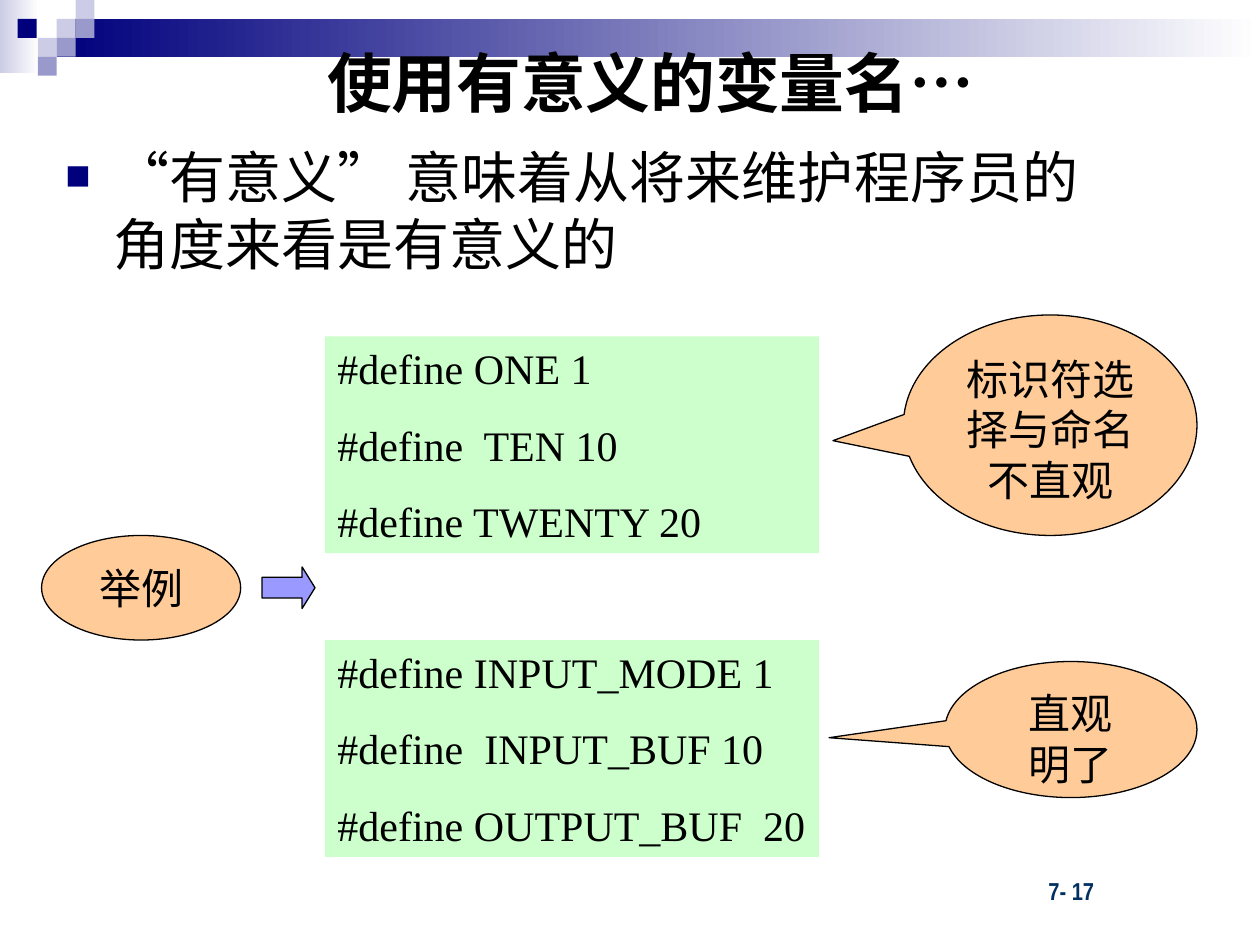
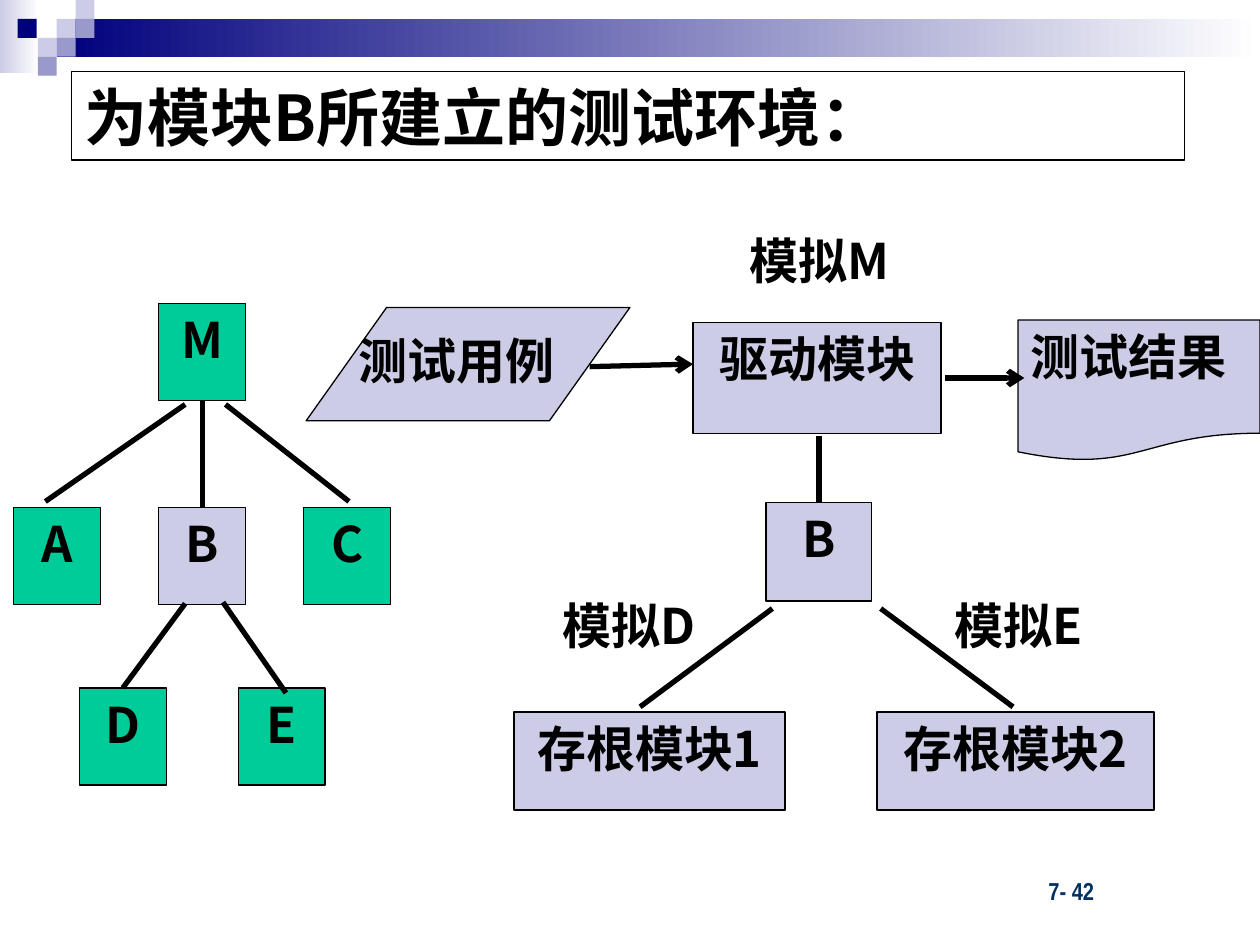
from dataclasses import dataclass
from lxml import etree
from pptx import Presentation
from pptx.dml.color import RGBColor as RGB
from pptx.enum.shapes import MSO_CONNECTOR as CONN, MSO_SHAPE as SHAPE
from pptx.enum.text import MSO_ANCHOR as ANCHOR, MSO_AUTO_SIZE as FIT, PP_ALIGN as ALIGN
from pptx.oxml.ns import qn
from pptx.util import Pt

PX = 9144  # 100 px to the inch


@dataclass(frozen=True)
class Theme:
    navy: str = "00007D"
    mid: str = "9999CC"
    pale: str = "CCCCE6"
    white: str = "FFFFFF"
    ink: str = "000000"
    number: str = "003162"
    code: str = "CCFFCC"
    bubble: str = "FFCC99"
    arrow: str = "9999FF"
    green: str = "00CC99"
    sans: str = "Noto Sans CJK SC"
    serif: str = "Times New Roman"
    narrow: str = "Arial Narrow"
    title: int = 37
    heading: int = 36
    body: int = 32
    label: int = 28
    note: int = 24
    foot: int = 14
    thin: float = 0.75
    thick: float = 3


T = Theme()


def write(sp, text, size=T.label, font=T.sans, color=T.ink, bold=False,
          align=ALIGN.CENTER, anchor=ANCHOR.TOP, wrap=True, gap=0, spacing=None):
    """Fill a shape with text, one paragraph a line."""
    tf = sp.text_frame
    tf.auto_size, tf.word_wrap, tf.vertical_anchor = FIT.NONE, wrap, anchor
    for i, line in enumerate(text.split("\n")):
        p = tf.paragraphs[0] if i == 0 else tf.add_paragraph()
        p.alignment = align
        p.space_before = Pt(gap if i else 0)
        if spacing:
            p.line_spacing = spacing
        r = p.add_run()
        r.text = line
        r.font.size, r.font.bold, r.font.name = Pt(size), bold, font
        r.font.color.rgb = RGB.from_string(color)
        etree.SubElement(r.font._element, qn("a:ea"), typeface=font)


def draw(s, kind, box, fill, line=True):
    """Add a flat preset shape; a pair of fills makes a gradient."""
    sp = s.shapes.add_shape(kind, *[v * PX for v in box])
    sp.shadow.inherit = False
    if isinstance(fill, tuple):
        sp.fill.gradient()
        sp.fill.gradient_angle = 0
        for stop, color in zip(sp.fill.gradient_stops, fill):
            stop.color.rgb = RGB.from_string(color)
    else:
        sp.fill.solid()
        sp.fill.fore_color.rgb = RGB.from_string(fill)
    if line:
        sp.line.color.rgb = RGB.from_string(T.ink)
        sp.line.width = Pt(T.thin)
    else:
        sp.line.fill.background()
    return sp


prs = Presentation()
prs.slide_width, prs.slide_height = 1000 * PX, 750 * PX
layout = prs.slide_layouts[5]
naming, testing = [prs.slides.add_slide(layout) for _ in range(2)]

# Shared band and checker squares, moved to the layout
band = [
    ((0, 0, 31, 58), (T.pale, T.white)),
    ((45, 15, 955, 30), (T.navy, T.white)),
]
squares = [(45, 15, T.pale), (60, 0, T.pale), (60, 15, T.mid), (30, 30, T.pale),
           (14, 15, T.navy), (45, 30, T.mid), (30, 45, T.mid)]
band += [((x, y, 15, 15), color) for x, y, color in squares]
for i, (box, fill) in enumerate(band):
    sp = draw(naming, SHAPE.RECTANGLE, box, fill, line=False)
    layout.shapes.element.insert(2 + i, sp.element)

# Titles and page numbers
headers = [
    (naming, "使用有意义的变量名…", (33, 36, 967, 75), "7- 17",
     dict(size=T.title, spacing=0.9)),
    (testing, "为模块B所建立的测试环境：", (57, 57, 883, 70), "7- 42",
     dict(size=T.heading, align=ALIGN.LEFT)),
]
for s, title, box, number, style in headers:
    sp = s.shapes.title
    sp.left, sp.top, sp.width, sp.height = [v * PX for v in box]
    write(sp, title, bold=True, **style)
    sp = s.shapes.add_textbox(728 * PX, 690 * PX, 208 * PX, 33 * PX)
    write(sp, number, size=T.foot, font=T.narrow, color=T.number, bold=True, align=ALIGN.LEFT)
    sp.text_frame.margin_left = 104 * PX
testing.shapes.title.line.color.rgb = RGB.from_string(T.ink)
testing.shapes.title.line.width = Pt(T.thin)

# Naming: bulleted statement
sp = naming.shapes.add_textbox(42 * PX, 108 * PX, 835 * PX, 288 * PX)
write(sp, "“有意义” 意味着从将来维护程序员的角度来看是有意义的", size=T.body, align=ALIGN.LEFT)
pPr = sp.text_frame.paragraphs[0]._p.get_or_add_pPr()
pPr.set("marL", str(38 * PX))
pPr.set("indent", str(-38 * PX))
color = etree.SubElement(pPr, qn("a:buClr"))
etree.SubElement(color, qn("a:srgbClr"), val=T.navy)
etree.SubElement(pPr, qn("a:buSzPct"), val="75000")
etree.SubElement(pPr, qn("a:buFont"), typeface=T.serif)
etree.SubElement(pPr, qn("a:buChar"), char="■")

# Naming: example label and arrow
sp = draw(naming, SHAPE.OVAL, (33, 425, 158, 83), T.bubble)
write(sp, "举例", size=T.note, anchor=ANCHOR.MIDDLE, wrap=False)
sp = draw(naming, SHAPE.RIGHT_ARROW, (208, 450, 42, 33), T.arrow)
sp.adjustments[1] = 0.31

# Naming: code blocks
codes = [
    (267, "#define ONE 1\n#define  TEN 10\n#define TWENTY 20"),
    (508, "#define INPUT_MODE 1\n#define  INPUT_BUF 10\n#define OUTPUT_BUF  20"),
]
for y, code in codes:
    sp = draw(naming, SHAPE.RECTANGLE, (258, y, 392, 172), T.code, line=False)
    write(sp, code, size=T.note, font=T.serif, align=ALIGN.LEFT, gap=15)

# Naming: remarks
remarks = [
    ("标识符选择与命名不直观", (717, 250, 233, 175), (-0.74, 0.07)),
    ("直观\n明了", (750, 525, 200, 108), (-0.96, 0.06)),
]
for text, box, tip in remarks:
    sp = draw(naming, SHAPE.OVAL_CALLOUT, box, T.bubble)
    sp.adjustments[0], sp.adjustments[1] = tip
    write(sp, text, size=T.note)

# Testing: module tree
nodes = {}
tree = [("M", 126, 241), ("B", 126, 403), ("C", 241, 403),
        ("A", 11, 403), ("E", 189, 546), ("D", 63, 546)]
for name, x, y in tree:
    fill = T.pale if name == "B" else T.green
    nodes[name] = draw(testing, SHAPE.RECTANGLE, (x, y, 69, 77), fill)
    write(nodes[name], name, bold=True)

# Testing: test environment
sp = draw(testing, SHAPE.PARALLELOGRAM, (243, 244, 257, 90), T.pale)
sp.adjustments[0] = 0.71
parts = [
    ("驱动模块", SHAPE.RECTANGLE, (550, 256, 197, 88), ALIGN.CENTER),
    ("B", SHAPE.RECTANGLE, (608, 399, 84, 78), ALIGN.CENTER),
    ("存根模块1", SHAPE.RECTANGLE, (408, 565, 215, 78), ALIGN.CENTER),
    ("存根模块2", SHAPE.RECTANGLE, (696, 565, 220, 78), ALIGN.CENTER),
    ("测试结果", SHAPE.FLOWCHART_DOCUMENT, (808, 254, 192, 112), ALIGN.LEFT),
]
for text, kind, box, align in parts:
    sp = draw(testing, kind, box, T.pale)
    write(sp, text, bold=True, align=align)
    if text == "B":
        nodes["tested B"] = sp

labels = [
    ("测试用例", (275, 257, 197, 88), ALIGN.LEFT),
    ("模拟D", (408, 468, 183, 78), ALIGN.CENTER),
    ("模拟E", (717, 468, 183, 78), ALIGN.CENTER),
    ("模拟M", (575, 178, 150, 78), ALIGN.CENTER),
]
for text, box, align in labels:
    sp = testing.shapes.add_textbox(*[v * PX for v in box])
    write(sp, text, bold=True, align=align)

# Testing: links as ends, arrowhead, joined start node, joined end node
links = [
    ((147, 321, 36, 398), False, None, None),
    ((158, 321, 158, 400), False, "M", "B"),
    ((179, 321, 277, 398), False, None, None),
    ((147, 479, 95, 546), False, None, "D"),
    ((177, 478, 227, 550), False, None, None),
    ((468, 291, 550, 289), True, None, None),
    ((750, 300, 813, 300), True, None, None),
    ((650, 346, 650, 398), False, None, "tested B"),
    ((613, 483, 508, 561), False, None, None),
    ((699, 483, 804, 561), False, None, None),
]
for ends, arrow, start, end in links:
    c = testing.shapes.add_connector(CONN.STRAIGHT, *[v * PX for v in ends])
    c.line.color.rgb = RGB.from_string(T.ink)
    c.line.width = Pt(T.thick)
    if start:
        c.begin_connect(nodes[start], 2)
    if end:
        c.end_connect(nodes[end], 0)
    if arrow:
        etree.SubElement(c.line._get_or_add_ln(), qn("a:tailEnd"), type="arrow")
    etree.SubElement(c._element.spPr, qn("a:effectLst"))

prs.save("out.pptx")
